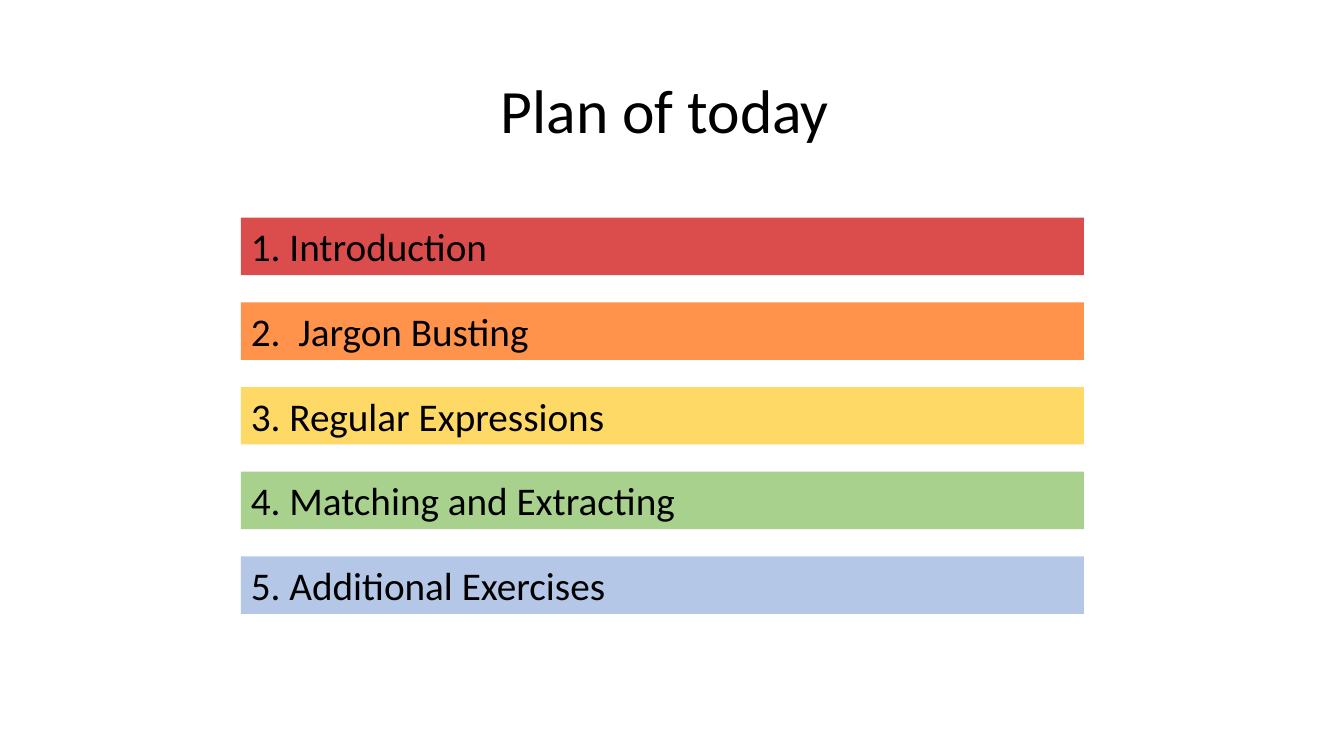
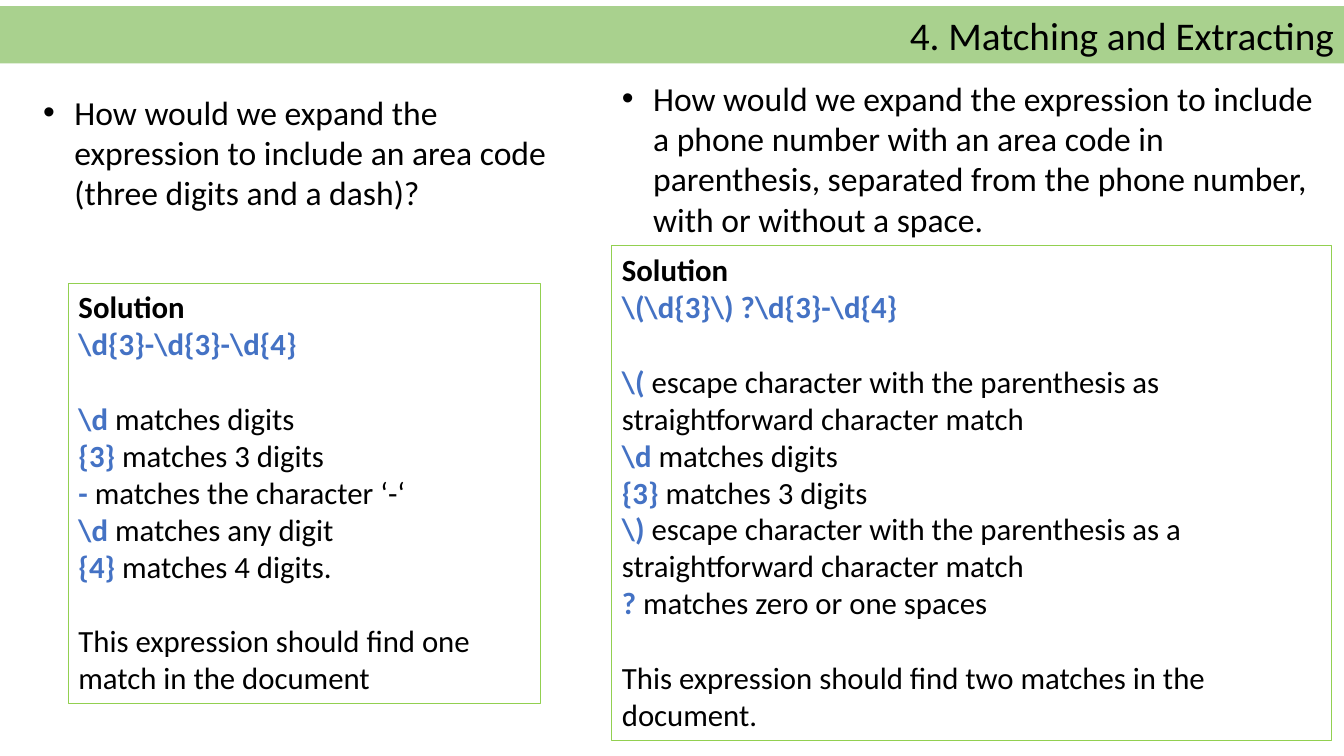
from lxml import etree
from pptx import Presentation
from pptx.dml.color import RGBColor
from pptx.enum.shapes import MSO_SHAPE
from pptx.enum.text import MSO_ANCHOR, MSO_AUTO_SIZE, PP_ALIGN
from pptx.oxml.ns import qn
from pptx.util import Inches, Pt

BLACK = RGBColor(0x00, 0x00, 0x00)
CODE_BLUE = RGBColor(0x44, 0x72, 0xC4)
BOX_GREEN = RGBColor(0x92, 0xD0, 0x50)
RED = RGBColor(0xCC, 0x00, 0x00)
ORANGE = RGBColor(0xFF, 0x66, 0x00)
YELLOW = RGBColor(0xFF, 0xD9, 0x66)
GREEN = RGBColor(0xA9, 0xD1, 0x8E)
BLUE = RGBColor(0xB4, 0xC7, 0xE7)

FONT = "Calibri"
SLIDE_WIDTH = 13.33
BAND_HEIGHT = 0.57
MATCHING = "4. Matching and Extracting"


def add_run(paragraph, text, size, color=BLACK, bold=False):
    run = paragraph.add_run()
    run.text = text
    style = {"name": FONT, "size": Pt(size), "bold": bold}
    for key, value in style.items():
        setattr(run.font, key, value)
    run.font.color.rgb = color


def set_up_box(shape, left, top, width, height, anchor=MSO_ANCHOR.TOP, align=PP_ALIGN.LEFT):
    """Place a shape and return its first paragraph, ready for text."""
    place = {"left": left, "top": top, "width": width, "height": height}
    for key, value in place.items():
        setattr(shape, key, Inches(value))
    frame = shape.text_frame
    frame.word_wrap = True
    frame.auto_size = MSO_AUTO_SIZE.NONE
    frame.vertical_anchor = anchor
    paragraph = frame.paragraphs[0]
    paragraph.alignment = align
    return paragraph


prs = Presentation()
prs.slide_width = Inches(SLIDE_WIDTH)
prs.slide_height = Inches(7.5)
title_only = prs.slide_layouts[5]

# Slide 1: plan
plan = prs.slides.add_slide(title_only)
heading = set_up_box(plan.shapes.title, 0, 0.4, SLIDE_WIDTH, 1.45,
                     MSO_ANCHOR.MIDDLE, PP_ALIGN.CENTER)
heading.line_spacing = 0.9
add_run(heading, "Plan of today ", 44)

topics = [
    ("1. Introduction", RED, 70),
    ("2.  Jargon Busting", ORANGE, 70),
    ("3. Regular Expressions", YELLOW, 100),
    (MATCHING, GREEN, 100),
    ("5. Additional Exercises", BLUE, 100),
]
for index, (topic, color, opacity) in enumerate(topics):
    band = plan.shapes.add_shape(MSO_SHAPE.RECTANGLE, 0, 0, 0, 0)
    band.shadow.inherit = False
    band.line.fill.background()
    band.fill.solid()
    band.fill.fore_color.rgb = color
    if opacity < 100:
        rgb = band.fill._xPr.find(qn("a:solidFill"))[0]
        etree.SubElement(rgb, qn("a:alpha"), val=str(opacity * 1000))
    label = set_up_box(band, 2.39, 2.16 + 0.84 * index, 8.36, BAND_HEIGHT)
    add_run(label, topic, 28)

# Slide 2: two exercises with their solutions
exercises = prs.slides.add_slide(title_only)
title_band = exercises.shapes.title
title_band.fill.solid()
title_band.fill.fore_color.rgb = GREEN
heading = set_up_box(title_band, 0, 0.06, SLIDE_WIDTH, BAND_HEIGHT, align=PP_ALIGN.RIGHT)
add_run(heading, MATCHING, 28)

# Each solution: pattern, explained parts, result
columns = [
    {
        "question": "How would we expand the expression to include an area code "
                    "(three digits and a dash)?",
        "question_at": (0.33, 0.86, 5.39, 1.72),
        "solution_at": (0.68, 2.81, 4.68, 4.17),
        "pattern": r"\d{3}-\d{3}-\d{4}",
        "parts": [
            (r"\d", "matches digits"),
            ("{3}", "matches 3 digits"),
            ("-", "matches the character ‘-‘"),
            (r"\d", "matches any digit"),
            ("{4}", "matches 4 digits."),
        ],
        "result": "This expression should find one match in the document",
    },
    {
        "question": "How would we expand the expression to include a phone number "
                    "with an area code in parenthesis, separated from the phone "
                    "number, with or without a space.",
        "question_at": (6.07, 0.72, 7.14, 1.72),
        "solution_at": (6.07, 2.44, 7.14, 4.91),
        "pattern": r"\(\d{3}\) ?\d{3}-\d{4}",
        "parts": [
            (r"\(", "escape character with the parenthesis as "
                    "straightforward character match"),
            (r"\d", "matches digits"),
            ("{3}", "matches 3 digits"),
            (r"\)", "escape character with the parenthesis as a "
                    "straightforward character match"),
            ("?", "matches zero or one spaces"),
        ],
        "result": "This expression should find two matches in the document.",
    },
]
BLOCK_GAP = Pt(26.85)  # one line of 22 pt text

for column in columns:
    question_box = exercises.shapes.add_textbox(0, 0, 0, 0)
    question = set_up_box(question_box, *column["question_at"])
    indent = Inches(0.31)
    properties = question._p.get_or_add_pPr()
    properties.set("marL", str(indent))
    properties.set("indent", str(-indent))
    etree.SubElement(properties, qn("a:buFont"), typeface="Arial")
    etree.SubElement(properties, qn("a:buChar"), char="•")
    add_run(question, column["question"], 24)

    solution_box = exercises.shapes.add_shape(MSO_SHAPE.RECTANGLE, 0, 0, 0, 0)
    solution_box.shadow.inherit = False
    solution_box.fill.background()
    solution_box.line.color.rgb = BOX_GREEN
    solution_box.line.width = Pt(0.75)
    caption = set_up_box(solution_box, *column["solution_at"])
    add_run(caption, "Solution", 22, bold=True)

    frame = solution_box.text_frame
    lines = [(column["pattern"], ""), *column["parts"], ("", column["result"])]
    for index, (code, meaning) in enumerate(lines):
        line = frame.add_paragraph()
        line.alignment = PP_ALIGN.LEFT
        if index in (1, len(lines) - 1):
            line.space_before = BLOCK_GAP
        if code:
            add_run(line, code, 22, CODE_BLUE, bold=True)
        if meaning:
            add_run(line, f" {meaning}" if code else meaning, 22)

prs.save("out.pptx")
